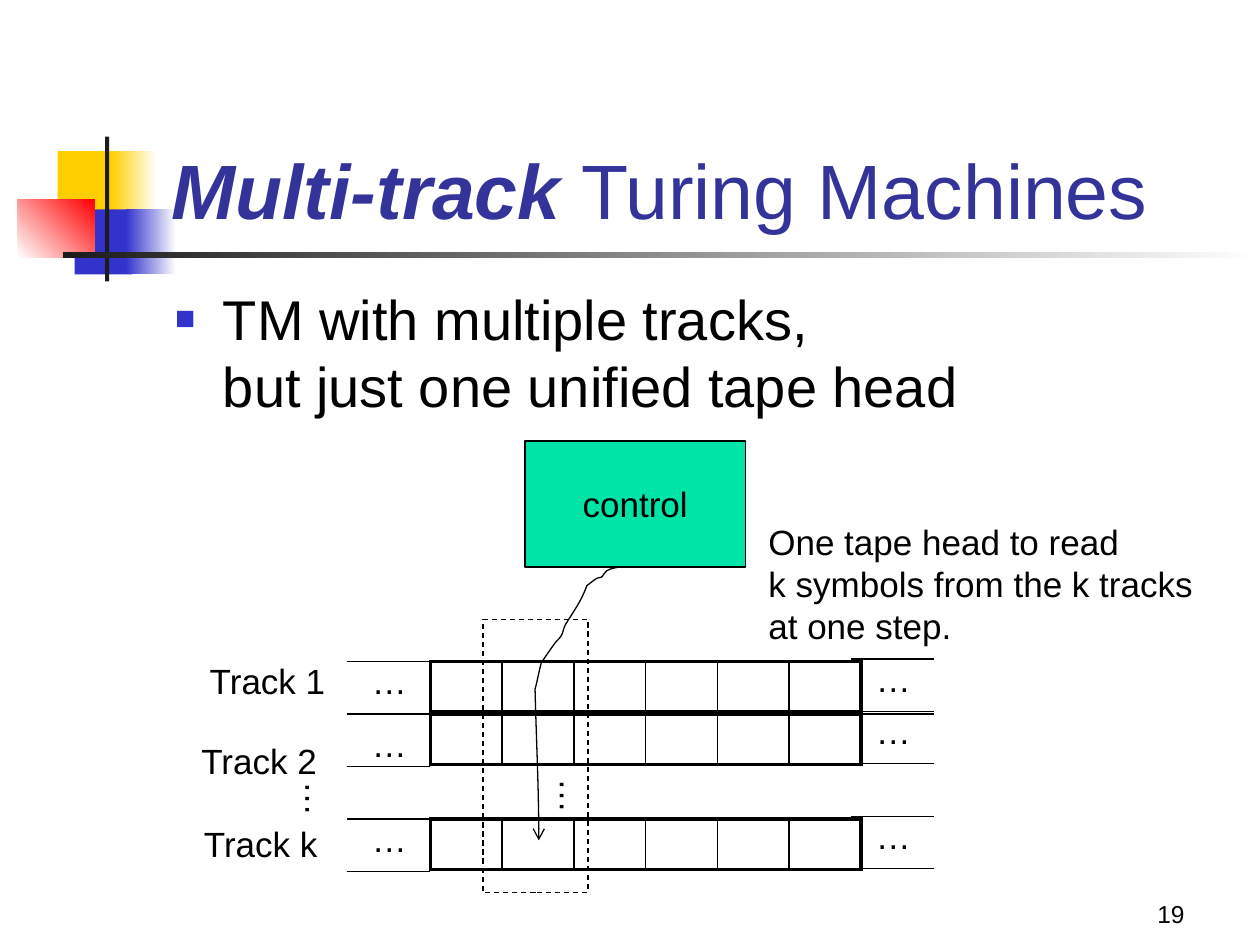
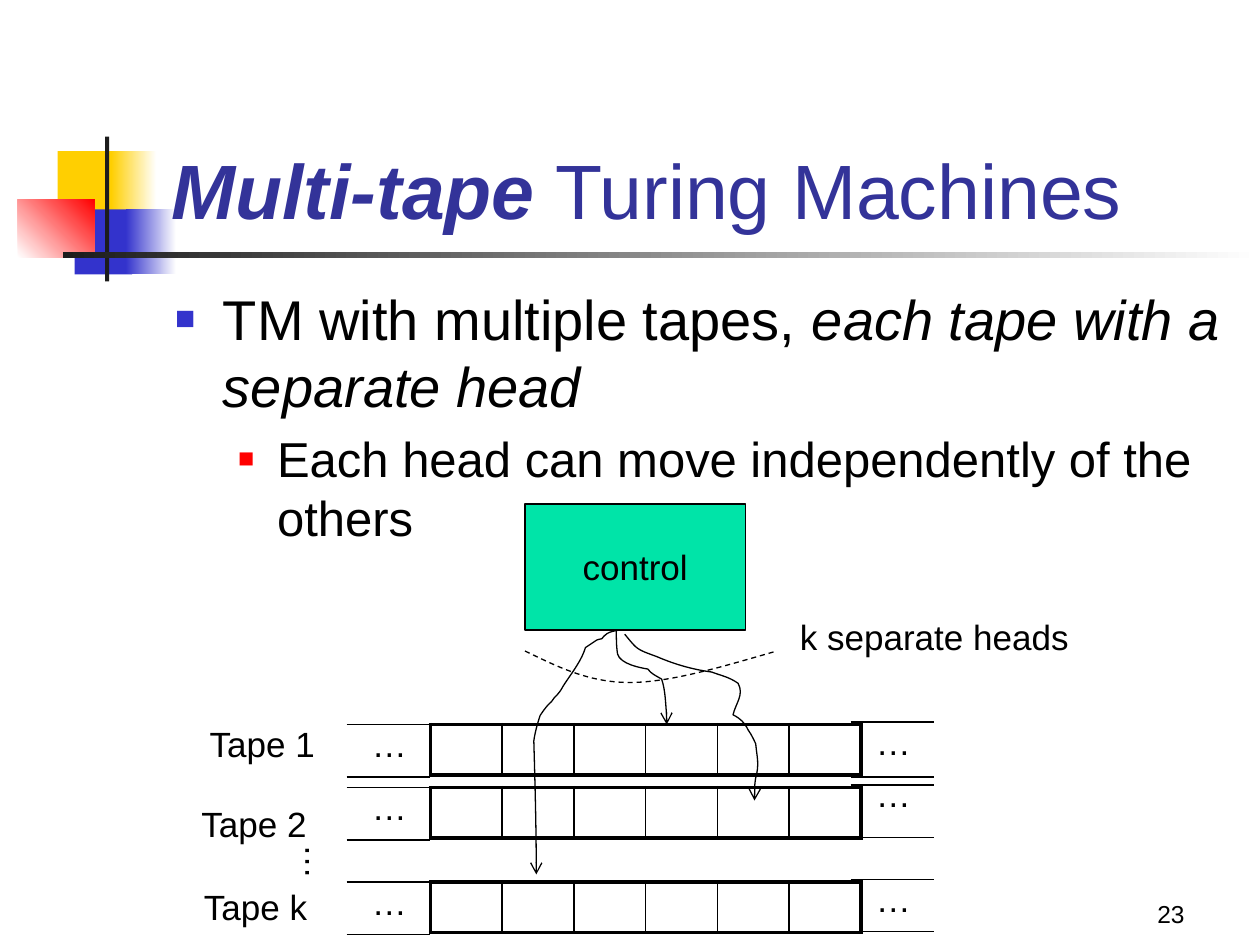
import dataclasses
import pptx
import pptx.dml.color
import pptx.enum.dml
import pptx.enum.shapes
import pptx.enum.text
import pptx.oxml.ns
import pptx.util
from lxml import etree

MIDDLE = pptx.enum.text.MSO_ANCHOR.MIDDLE
BOTTOM = pptx.enum.text.MSO_ANCHOR.BOTTOM
CENTER = pptx.enum.text.PP_ALIGN.CENTER
RIGHT = pptx.enum.text.PP_ALIGN.RIGHT

# The slide is a grid of 120 columns by 90 rows of square cells
WIDTH, HEIGHT = pptx.util.Inches(10), pptx.util.Inches(7.5)
CELL = WIDTH // 120
CURVE_STEP = 0.12  # cells for each unit of a curve's points


@dataclasses.dataclass(frozen=True)
class Theme:
    font: str = "Arial"
    ink: str = "000000"
    paper: str = "FFFFFF"
    title: str = "333399"
    yellow: str = "FFCF01"
    blue: str = "3333CC"
    red: str = "FF0000"
    rule: str = "1C1C1C"
    control: str = "00E4A8"
    title_size: int = 44
    body_sizes: tuple = (32, 28)
    label_size: int = 20
    number_size: int = 14
    thin: float = 0.75
    inner: float = 1
    outer: float = 2.25


THEME = Theme()


@dataclasses.dataclass(frozen=True)
class Box:
    left: float
    top: float
    width: float
    height: float

    def inside(self, left, top, width, height):
        return Box(self.left + left, self.top + top, width, height)

    def emu(self):
        return [grid(value) for value in dataclasses.astuple(self)]


@dataclasses.dataclass(frozen=True)
class Tape:
    """Rows of one tape's parts; all but top are counted from its strip."""
    top: float
    left_rails: tuple = (0, 5)
    right_rails: tuple = (-0.25, 4.75)
    left_dots: float = -0.75
    right_dots: float = -1


def grid(cells):
    return round(cells * CELL)


def color(code):
    return pptx.dml.color.RGBColor.from_string(code)


def add_span(para, text, size, ink=THEME.ink, bold=False, italic=False):
    for index, piece in enumerate(text.split("\n")):
        if index:
            para.add_line_break()
        span = para.add_run()
        span.text = piece
        span.font.name = THEME.font
        span.font.size = pptx.util.Pt(size)
        span.font.color.rgb = color(ink)
        span.font.bold, span.font.italic = bold, italic


def add_frame(page, box, wrap=True, anchor=None):
    shape = page.shapes.add_textbox(*box.emu())
    shape.text_frame.word_wrap = wrap
    if anchor is not None:
        shape.text_frame.vertical_anchor = anchor
    return shape


def add_label(page, box, text, turn=0):
    shape = add_frame(page, box, wrap=False)
    shape.rotation = turn
    add_span(shape.text_frame.paragraphs[0], text, THEME.label_size)


def set_line(line, dashed=False):
    line.color.rgb = color(THEME.ink)
    line.width = pptx.util.Pt(THEME.thin)
    if dashed:
        line.dash_style = pptx.enum.dml.MSO_LINE.DASH


def add_rect(page, box, *fills, angle=0):
    """No fill, one plain colour, or two colours as a gradient."""
    shape = page.shapes.add_shape(pptx.enum.shapes.MSO_SHAPE.RECTANGLE, *box.emu())
    shape.shadow.inherit = False
    shape.line.fill.background()
    if not fills:
        shape.fill.background()
    elif len(fills) == 1:
        shape.fill.solid()
        shape.fill.fore_color.rgb = color(fills[0])
    else:
        shape.fill.gradient()
        shape.fill.gradient_angle = angle
        for stop, code in zip(shape.fill.gradient_stops, fills):
            stop.color.rgb = color(code)
    return shape


def add_rail(page, left, top, width):
    start, end, level = grid(left), grid(left + width), grid(top)
    rail = page.shapes.add_connector(
        pptx.enum.shapes.MSO_CONNECTOR.STRAIGHT, start, level, end, level)
    set_line(rail.line)
    etree.SubElement(rail._element.spPr, pptx.oxml.ns.qn("a:effectLst"))


def add_curve(page, box, start, points, arrow=True, dashed=False):
    """Points follow the start in threes: two handles and an end."""
    column, row = box.left + start[0], box.top + start[1]
    builder = page.shapes.build_freeform(grid(column), grid(row))
    builder.add_line_segments(
        [(grid(column + x * CURVE_STEP), grid(row + y * CURVE_STEP)) for x, y in points],
        close=False)
    curve = builder.convert_to_shape()
    # Turn every three straight segments into one Bézier segment
    segments = list(curve._element.iter(pptx.oxml.ns.qn("a:lnTo")))
    outline = segments[0].getparent()
    for index in range(0, len(segments), 3):
        bend = etree.SubElement(outline, pptx.oxml.ns.qn("a:cubicBezTo"))
        for segment in segments[index:index + 3]:
            bend.append(segment[0])
            outline.remove(segment)
    curve.shadow.inherit = False
    curve.fill.background()
    set_line(curve.line, dashed)
    if arrow:
        etree.SubElement(curve.line._get_or_add_ln(),
                         pptx.oxml.ns.qn("a:tailEnd"), type="arrow")


# Overlapping squares and the fading rule beside the title
def draw_ornament(page, box):
    add_rect(page, box.inside(3.8, 1.4, 5.8, 6.2), THEME.yellow)
    add_rect(page, box.inside(8.9, 1.4, 4.3, 6.2), THEME.yellow, THEME.paper)
    add_rect(page, box.inside(5.4, 6.95, 5.5, 6.2), THEME.blue)
    add_rect(page, box.inside(10.3, 6.95, 4.8, 6.2), THEME.blue, THEME.paper)
    add_rect(page, box.inside(0, 6, 7.3, 5.5), THEME.paper, THEME.red, angle=45)
    add_rect(page, box.inside(8.3, 0, 0.4, 13.8), THEME.rule)
    add_rect(page, box.inside(4.3, 11, 114, 0.6), THEME.rule, THEME.paper)


def draw_title(page, box, strong, rest):
    para = add_frame(page, box, anchor=BOTTOM).text_frame.paragraphs[0]
    add_span(para, strong, THEME.title_size, THEME.title, bold=True, italic=True)
    add_span(para, rest, THEME.title_size, THEME.title)


def draw_number(page, box, number):
    para = add_frame(page, box, anchor=BOTTOM).text_frame.paragraphs[0]
    para.alignment = RIGHT
    add_span(para, number, THEME.number_size)


# Bulleted text: each item is a level and its (text, italic) spans
def draw_body(page, box, items):
    levels = ((0.38, 0.38, THEME.blue, 60), (0.81, 0.31, THEME.red, 55))
    frame = add_frame(page, box).text_frame
    for index, (level, spans) in enumerate(items):
        para = frame.add_paragraph() if index else frame.paragraphs[0]
        margin, hang, ink, percent = levels[level]
        size = THEME.body_sizes[level]
        para.level = level
        para.space_before = pptx.util.Pt(size * 0.2)
        props = para._p.get_or_add_pPr()
        props.set("marL", str(pptx.util.Inches(margin)))
        props.set("indent", str(-pptx.util.Inches(hang)))
        tint = etree.SubElement(props, pptx.oxml.ns.qn("a:buClr"))
        etree.SubElement(tint, pptx.oxml.ns.qn("a:srgbClr"), val=ink)
        for tag, name, value in (("a:buSzPct", "val", str(percent * 1000)),
                                 ("a:buFont", "typeface", THEME.font),
                                 ("a:buChar", "char", "■")):
            etree.SubElement(props, pptx.oxml.ns.qn(tag)).set(name, value)
        for text, italic in spans:
            add_span(para, text, size, italic=italic)


def border_cell(cell, left, right):
    cell.fill.background()
    props = cell._tc.get_or_add_tcPr()
    sides = (("L", left), ("R", right), ("T", THEME.outer), ("B", THEME.outer))
    for index, (side, width) in enumerate(sides):
        edge = etree.Element(pptx.oxml.ns.qn("a:ln" + side), w=str(pptx.util.Pt(width)))
        fill = etree.SubElement(edge, pptx.oxml.ns.qn("a:solidFill"))
        etree.SubElement(fill, pptx.oxml.ns.qn("a:srgbClr"), val=THEME.ink)
        props.insert(index, edge)


# One strip of cells with the rails and dots that carry it on
def draw_tape(page, box, tape, count=6):
    table = page.shapes.add_table(1, count, *box.emu()).table
    table.first_row = table.horz_banding = False
    for index in range(count):
        border_cell(table.cell(0, index),
                    THEME.inner if index else THEME.outer,
                    THEME.inner if index < count - 1 else THEME.outer)
    for column, dots, rail_column, rails in (
            (-6.75, tape.left_dots, -8, tape.left_rails),
            (41.25, tape.right_dots, 40, tape.right_rails)):
        add_label(page, box.inside(column, dots, 5.8, 5.2), "…")
        for row in rails:
            add_rail(page, box.left + rail_column, box.top + row, 8)


# Control unit above three named tapes
def draw_machine(page, box, noun, tapes):
    control = add_rect(page, box.inside(32, 0, 21, 12), THEME.control)
    set_line(control.line)
    control.text_frame.word_wrap = False
    control.text_frame.vertical_anchor = MIDDLE
    para = control.text_frame.paragraphs[0]
    para.alignment = CENTER
    add_span(para, "control", THEME.label_size)
    names = (("1", 0.8, 20.25), ("2", 0, 27.8), ("k", 0.25, 35.75))
    for tape, (suffix, column, row) in zip(tapes, names):
        draw_tape(page, box.inside(23, tape.top, 41, 4.8), tape)
        add_label(page, box.inside(column, row, 13.5, 5.2), f"{noun} {suffix}")
    add_label(page, box.inside(9.5, 31.5, 5.8, 5.2), "…", turn=90)


def draw_page(deck, strong, number, items):
    page = deck.slides.add_slide(deck.slide_layouts[6])
    draw_ornament(page, Box(1.7, 13, 118.3, 13.8))
    draw_number(page, Box(89, 83, 25, 6), number)
    draw_title(page, Box(15.15, 8, 102.2, 15), strong, " Turing Machines")
    draw_body(page, Box(15.5, 26.5, 102, 54), items)
    return page


def draw_multi_track(deck, box):
    page = draw_page(deck, "Multi-track", "19", [
        (0, [("TM with multiple tracks, \nbut just one unified tape head", False)])])
    draw_machine(page, box, "Track", (
        Tape(21), Tape(26, right_rails=(0, 4.75), left_dots=0.2), Tape(36)))
    # The single head reads a whole column
    add_curve(page, box, (41, 12), [
        (-4, 1), (-7, 1), (-10, 3), (-12, 4), (-12, 6), (-14, 8),
        (-15, 9), (-17, 8), (-18, 9), (-21, 11), (-26, 15), (-26, 15),
        (-30, 27), (-37, 36), (-43, 46), (-46, 53), (-44, 52), (-48, 57),
        (-50, 59), (-52, 61), (-53, 63), (-56, 67), (-62, 76), (-62, 76),
        (-64, 83), (-65, 90), (-67, 97), (-66, 137), (-64, 177), (-64, 217)])
    add_label(page, box.inside(54, 7, 43, 13.3),
              "One tape head to read\nk symbols from the k tracks\nat one step.")
    set_line(add_rect(page, box.inside(28, 17, 10, 26)).line, dashed=True)
    add_label(page, box.inside(33.75, 31.3, 5.8, 5.2), "…", turn=90)


def draw_multi_tape(deck, box):
    page = draw_page(deck, "Multi-tape", "23", [
        (0, [("TM with multiple tapes, ", False), ("each tape with a separate head", True)]),
        (1, [("Each head can move independently of the others", False)])])
    draw_machine(page, box, "Tape", (
        Tape(21, left_rails=(0, 6), right_rails=(-0.25, 5.75)),
        Tape(27, left_rails=(-1, 5), right_rails=(-1, 4.75), right_dots=-2),
        Tape(36)))
    # One head for each tape
    add_curve(page, box, (40.7, 12), [
        (0, 6), (0, 13), (1, 19), (3, 27), (19, 30), (25, 31), (28, 35), (31, 36),
        (36, 39), (39, 48), (39, 58), (40, 68), (39, 74), (37, 72), (40, 75)])
    add_curve(page, box, (41.5, 12.4), [
        (1, 1), (7, 9), (10, 11), (14, 14), (21, 16), (26, 18), (40, 24), (54, 28),
        (69, 30), (77, 33), (83, 34), (90, 39), (95, 48), (88, 55), (86, 64),
        (92, 67), (95, 70), (98, 76), (101, 80), (104, 87), (104, 87),
        (105, 98), (107, 103), (104, 114), (103, 120), (103, 132), (103, 132)])
    add_curve(page, box, (41, 12), [
        (-4, 1), (-7, 1), (-10, 3), (-12, 4), (-13, 6), (-14, 7),
        (-16, 8), (-17, 7), (-18, 8), (-21, 10), (-27, 14), (-27, 14),
        (-30, 24), (-37, 33), (-43, 42), (-47, 48), (-45, 46), (-49, 51),
        (-51, 53), (-53, 55), (-54, 57), (-58, 60), (-63, 68), (-63, 68),
        (-65, 74), (-67, 81), (-68, 88), (-67, 123), (-66, 159), (-66, 194)])
    add_label(page, box.inside(57, 10, 28, 5.2), "k separate heads")
    add_curve(page, box, (32, 14), [
        (25, 12), (50, 25), (83, 25), (116, 25), (158, 12), (200, 0)],
        arrow=False, dashed=True)


def main():
    deck = pptx.Presentation()
    deck.slide_width, deck.slide_height = WIDTH, HEIGHT
    draw_multi_track(deck, Box(18, 42, 97, 43))
    draw_multi_tape(deck, Box(18, 48, 97, 42))
    deck.save("out.pptx")


if __name__ == "__main__":
    main()
